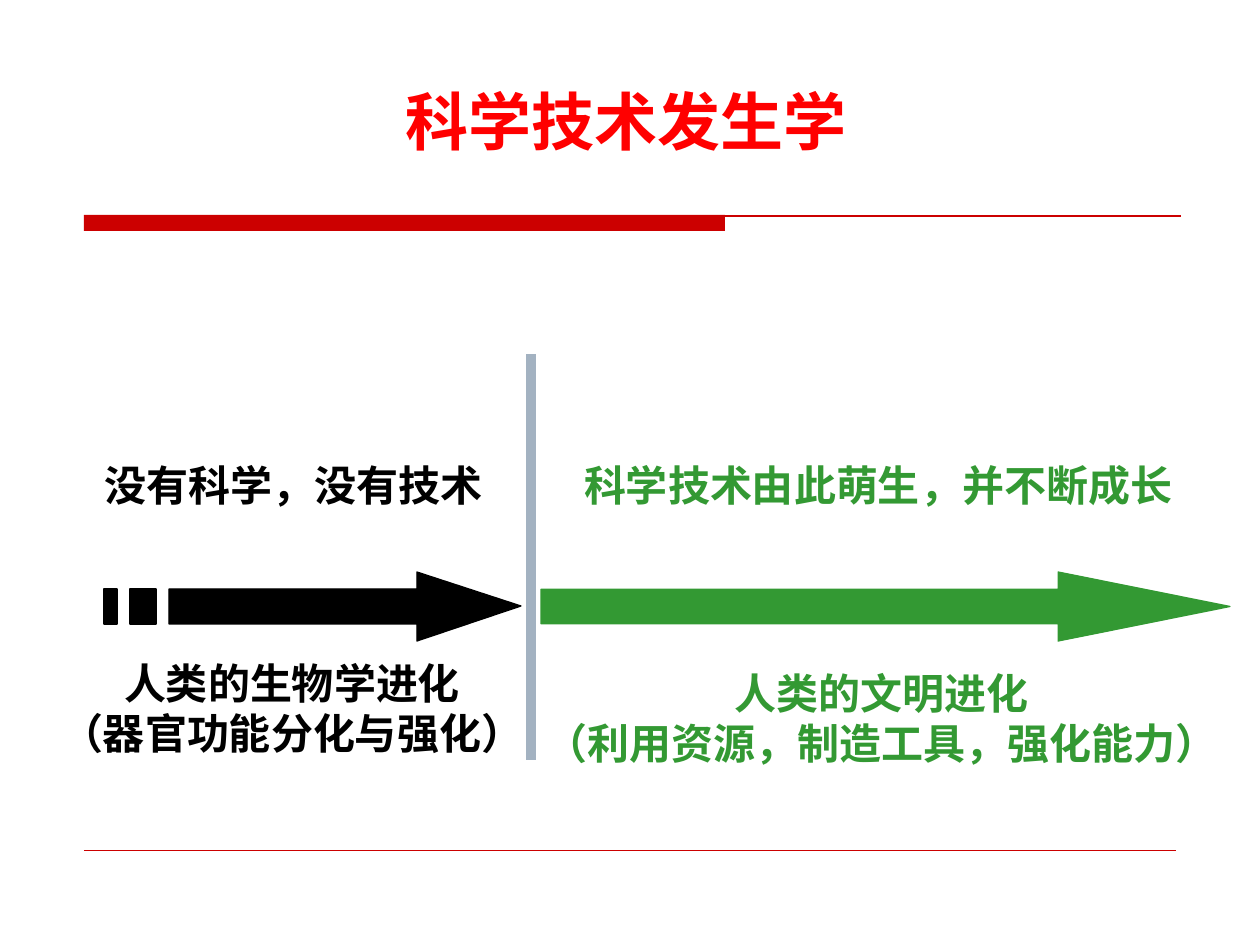
from lxml import etree
from pptx import Presentation
from pptx.dml.color import RGBColor
from pptx.enum.shapes import MSO_CONNECTOR, MSO_SHAPE
from pptx.enum.text import MSO_ANCHOR, MSO_AUTO_SIZE, PP_ALIGN
from pptx.oxml.ns import qn
from pptx.util import Pt

PX = 914400 / 126
BLACK, GREEN, RED, DARK_RED, GREY = "000000", "339933", "FF0000", "CC0000", "A3B2C1"


def px(value):
    return round(value * PX)


def color(value):
    return RGBColor.from_string(value)


def paint(shape, fill):
    """Give the shape one colour for fill and outline, and no shadow."""
    shape.shadow.inherit = False
    shape.fill.solid()
    shape.fill.fore_color.rgb = color(fill)
    shape.line.color.rgb = color(fill)
    shape.line.width = Pt(0.75)


def add_rule(slide, start, end, stroke, width):
    rule = slide.shapes.add_connector(
        MSO_CONNECTOR.STRAIGHT, *(px(value) for value in start + end))
    rule.line.color.rgb = color(stroke)
    rule.line.width = Pt(width)
    etree.SubElement(rule._element.spPr, qn("a:effectLst"))


def write(box, text, size, fill):
    """Centre bold text; without side margins each line fits its box."""
    frame = box.text_frame
    frame.word_wrap = False
    frame.auto_size = MSO_AUTO_SIZE.NONE
    frame.margin_left = frame.margin_right = 0
    frame.vertical_anchor = MSO_ANCHOR.TOP
    frame.text = text
    for para in frame.paragraphs:
        para.alignment = PP_ALIGN.CENTER
        for span in para.runs:
            span.font.name = "Arial"
            span.font.size = Pt(size)
            span.font.bold = True
            span.font.color.rgb = color(fill)


def add_title(slide):
    title = slide.shapes.title
    title.left, title.top, title.width, title.height = map(px, (393, 76, 466, 88))
    write(title, "科学技术发生学", 36, RED)


def add_label(slide, left, top, width, height, text, fill):
    box = slide.shapes.add_textbox(px(left), px(top), px(width), px(height))
    write(box, text, 24, fill)


def add_header_bar(slide):
    bar = slide.shapes.add_shape(
        MSO_SHAPE.RECTANGLE, px(84), px(215), px(641), px(16))
    paint(bar, DARK_RED)
    bar.line.fill.background()
    add_rule(slide, (84, 216), (1181, 216), DARK_RED, 0.75)


def add_striped_arrow(slide):
    """Draw an arrow whose tail breaks up into two stripes."""
    top, shaft_top, middle, shaft_bottom, bottom = 572, 589, 606, 624, 641
    neck = 417
    builder = slide.shapes.build_freeform(neck, top, PX)
    builder.add_line_segments([
        (neck, shaft_top), (169, shaft_top), (169, shaft_bottom),
        (neck, shaft_bottom), (neck, bottom), (521, middle)])
    for left, right in ((130, 156), (104, 117)):
        builder.move_to(left, shaft_top)
        builder.add_line_segments([
            (left, shaft_bottom), (right, shaft_bottom), (right, shaft_top)])
    paint(builder.convert_to_shape(), BLACK)


def add_plain_arrow(slide):
    arrow = slide.shapes.add_shape(
        MSO_SHAPE.RIGHT_ARROW, px(541), px(572), px(689), px(69))
    arrow.adjustments[0] = 0.5
    arrow.adjustments[1] = 2.49
    paint(arrow, GREEN)


def main():
    deck = Presentation()
    deck.slide_width, deck.slide_height = px(1260), px(945)
    slide = deck.slides.add_slide(deck.slide_layouts[5])

    add_header_bar(slide)
    add_rule(slide, (84, 850), (1176, 850), DARK_RED, 0.25)
    add_title(slide)
    add_striped_arrow(slide)
    add_plain_arrow(slide)
    labels = (
        (49, 651, 486, 113, "人类的生物学进化\n（器官功能分化与强化）", BLACK),
        (92, 453, 403, 63, "没有科学，没有技术", BLACK),
        (533, 661, 697, 113, "人类的文明进化\n（利用资源，制造工具，强化能力）", GREEN),
        (572, 453, 612, 63, "科学技术由此萌生，并不断成长", GREEN),
    )
    for label in labels:
        add_label(slide, *label)
    add_rule(slide, (531, 760), (531, 354), GREY, 6)
    deck.save("out.pptx")


if __name__ == "__main__":
    main()
